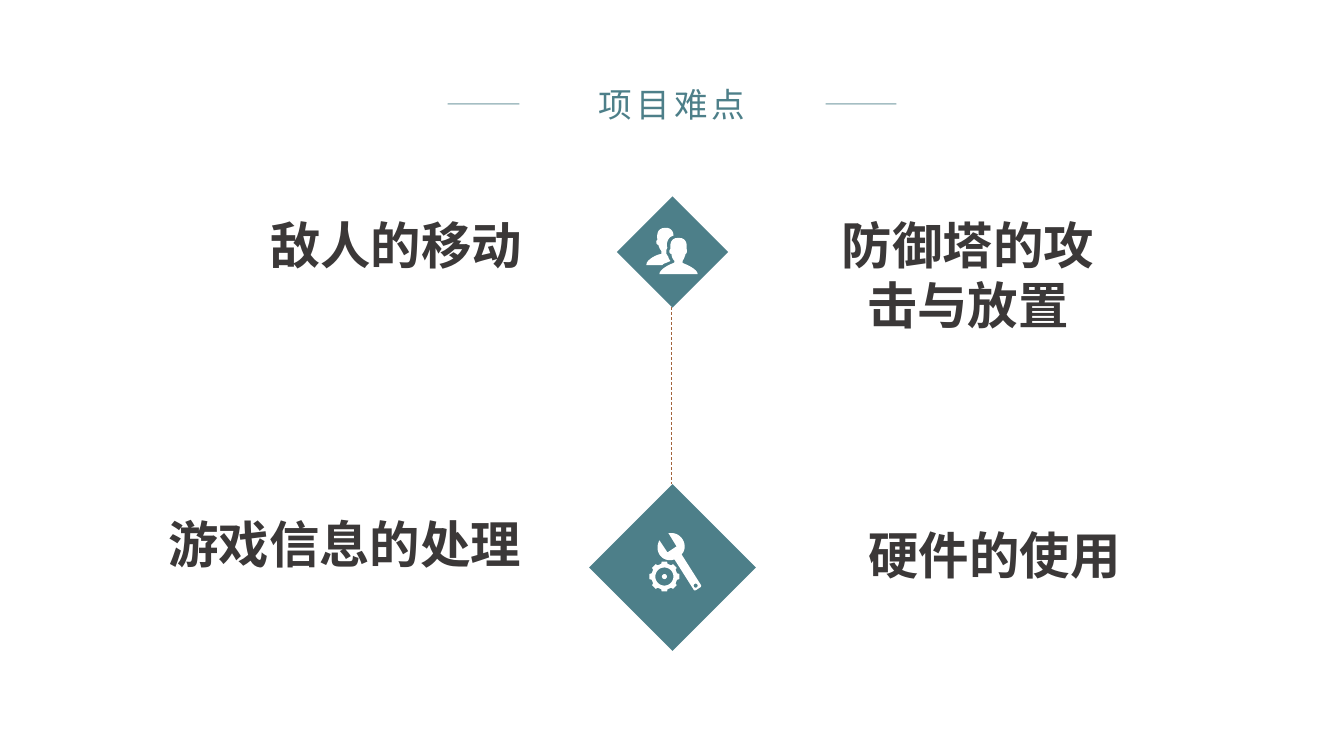
"""Build the project difficulties slide with four topics around a diamond timeline."""
from dataclasses import dataclass
from math import cos, radians, sin
from typing import Optional

from lxml import etree
from pptx import Presentation
from pptx.dml.color import RGBColor
from pptx.enum.dml import MSO_LINE
from pptx.enum.shapes import MSO_CONNECTOR, MSO_SHAPE
from pptx.enum.text import MSO_ANCHOR, PP_ALIGN
from pptx.oxml.ns import qn
from pptx.util import Inches, Pt

STRAIGHT = MSO_CONNECTOR.STRAIGHT
RECTANGLE, OVAL = MSO_SHAPE.RECTANGLE, MSO_SHAPE.OVAL
DASH = MSO_LINE.DASH
TOP, CENTER = MSO_ANCHOR.TOP, PP_ALIGN.CENTER


@dataclass(frozen=True)
class Theme:
    font: str = "Noto Sans CJK SC"
    teal: RGBColor = RGBColor(0x4D, 0x7F, 0x89)
    brown: RGBColor = RGBColor(0xA2, 0x63, 0x3C)
    ink: RGBColor = RGBColor(0x3B, 0x38, 0x38)
    white: RGBColor = RGBColor(0xFF, 0xFF, 0xFF)
    title_size: int = 24
    topic_size: int = 36


@dataclass(frozen=True)
class Topic:
    text: str
    left: float
    top: float
    width: float
    height: float


@dataclass(frozen=True)
class Rule:
    start: tuple
    end: tuple
    color: RGBColor
    weight: float
    dash: Optional[int] = None
    opacity: int = 100


@dataclass(frozen=True)
class Block:
    kind: int
    center: tuple
    size: float
    color: RGBColor
    rotation: int = 0


THEME = Theme()
GEAR_CENTER = (6.59, 5.72)
TOPICS = [
    Topic("敌人的移动", 2.38, 2.07, 3.1, 0.71),
    Topic("防御塔的攻击与放置", 8.05, 2.07, 3.1, 1.31),
    Topic("游戏信息的处理", 1.37, 5.04, 4.1, 0.71),
    Topic("硬件的使用", 8.05, 5.15, 3.63, 0.71),
]
RULES = [
    Rule((6.66, 3.05), (6.66, 4.8), THEME.brown, 0.5, DASH),
    Rule((4.44, 1.03), (5.15, 1.03), THEME.teal, 1, opacity=50),
    Rule((8.19, 1.03), (8.89, 1.03), THEME.teal, 1, opacity=50),
]
BLOCKS = [
    Block(RECTANGLE, (6.67, 5.63), 1.17, THEME.teal, 45),
    Block(RECTANGLE, (6.67, 2.5), 0.78, THEME.teal, 45),
    Block(OVAL, GEAR_CENTER, 0.05, THEME.white),
]

# fmt: off
WRENCH = [
    (6.95, 5.8), (6.76, 5.5), (6.8, 5.46, 6.8, 5.4, 6.77, 5.35),
    (6.74, 5.3, 6.68, 5.28, 6.63, 5.29), (6.71, 5.42), (6.62, 5.48), (6.54, 5.36),
    (6.52, 5.4, 6.51, 5.45, 6.54, 5.5), (6.57, 5.55, 6.63, 5.57, 6.69, 5.55),
    (6.88, 5.85), (6.88, 5.86, 6.9, 5.86, 6.91, 5.85), (6.94, 5.83),
    (6.95, 5.83, 6.96, 5.81, 6.95, 5.8),
]
FRONT_PERSON = [
    (6.77, 2.61), (6.77, 2.59), (6.77, 2.59, 6.79, 2.56, 6.8, 2.52),
    (6.81, 2.52, 6.82, 2.49, 6.81, 2.47), (6.81, 2.46, 6.83, 2.36, 6.73, 2.36),
    (6.63, 2.36, 6.65, 2.46, 6.65, 2.47), (6.63, 2.49, 6.64, 2.52, 6.66, 2.52),
    (6.66, 2.56, 6.69, 2.59, 6.69, 2.59), (6.69, 2.59, 6.69, 2.61, 6.68, 2.61),
    (6.65, 2.62, 6.54, 2.67, 6.54, 2.72), (6.92, 2.72),
    (6.92, 2.67, 6.8, 2.62, 6.77, 2.61),
]
BACK_PERSON = [
    (6.58, 2.62), (6.6, 2.61, 6.63, 2.6, 6.65, 2.59),
    (6.64, 2.58, 6.63, 2.56, 6.63, 2.55), (6.62, 2.54, 6.62, 2.53, 6.61, 2.52),
    (6.61, 2.51, 6.61, 2.5, 6.61, 2.49), (6.61, 2.48, 6.61, 2.47, 6.62, 2.46),
    (6.61, 2.44, 6.61, 2.4, 6.64, 2.36), (6.65, 2.35, 6.67, 2.34, 6.68, 2.34),
    (6.68, 2.3, 6.66, 2.26, 6.6, 2.26), (6.5, 2.26, 6.52, 2.36, 6.52, 2.38),
    (6.5, 2.39, 6.51, 2.43, 6.53, 2.43), (6.54, 2.47, 6.56, 2.49, 6.56, 2.49),
    (6.56, 2.52), (6.53, 2.52, 6.41, 2.57, 6.41, 2.63), (6.57, 2.63),
]
# fmt: on


def polar(center: tuple, radius: float, degrees: float) -> tuple:
    angle = radians(degrees)
    return center[0] + radius * cos(angle), center[1] + radius * sin(angle)


def ring(center: tuple, radius: float) -> list:
    return [polar(center, radius, degrees) for degrees in range(0, 360, 10)]


def gear_outline() -> list:
    profile = [(-14, 0.13), (-10, 0.15), (10, 0.15), (14, 0.13)]
    return [polar(GEAR_CENTER, radius, tooth + offset)
            for tooth in range(0, 360, 45) for offset, radius in profile]


def flatten(steps: list) -> list:
    points = []
    for step in steps:
        if len(step) == 2:
            points.append(step)
            continue
        curve = [points[-1], step[:2], step[2:4], step[4:]]
        for t in (i / 8 for i in range(1, 9)):
            weights = ((1 - t) ** 3, 3 * t * (1 - t) ** 2, 3 * t * t * (1 - t), t ** 3)
            points.append(tuple(sum(w * p[axis] for w, p in zip(weights, curve))
                                for axis in (0, 1)))
    return points


def paint(shape, color: RGBColor) -> None:
    shape.shadow.inherit = False
    shape.fill.solid()
    shape.fill.fore_color.rgb = color
    shape.line.fill.background()


def draw_icon(page, contours: list) -> None:
    builder = None
    for contour in contours:
        points = [(Inches(x), Inches(y)) for x, y in flatten(contour)]
        if builder is None:
            builder = page.shapes.build_freeform(*points[0], scale=1.0)
        else:
            builder.move_to(*points[0])
        builder.add_line_segments(points[1:], close=True)
    paint(builder.convert_to_shape(), THEME.white)


def draw_block(page, block: Block) -> None:
    left, top = (Inches(value - block.size / 2) for value in block.center)
    shape = page.shapes.add_shape(block.kind, left, top, Inches(block.size), Inches(block.size))
    shape.rotation = block.rotation
    paint(shape, block.color)


def draw_rule(page, rule: Rule) -> None:
    ends = [Inches(value) for value in rule.start + rule.end]
    line = page.shapes.add_connector(STRAIGHT, *ends)
    line.line.color.rgb = rule.color
    line.line.width = Pt(rule.weight)
    if rule.dash is not None:
        line.line.dash_style = rule.dash
    properties = line._element.spPr
    if rule.opacity < 100:
        color = properties.find(".//" + qn("a:srgbClr"))
        etree.SubElement(color, qn("a:alpha")).set("val", str(rule.opacity * 1000))
    etree.SubElement(properties, qn("a:effectLst"))


def write(box, topic: Topic, size: int, color: RGBColor, bold: bool, spacing: int = 0) -> None:
    box.left, box.top = Inches(topic.left), Inches(topic.top)
    box.width, box.height = Inches(topic.width), Inches(topic.height)
    frame = box.text_frame
    frame.word_wrap = True
    frame.vertical_anchor = TOP
    para = frame.paragraphs[0]
    para.text = topic.text
    para.alignment = CENTER
    font = para.font
    font.name, font.size, font.bold = THEME.font, Pt(size), bold
    font.color.rgb = color
    defaults = para._p.pPr.find(qn("a:defRPr"))
    defaults.set("spc", str(spacing * 100))
    etree.SubElement(defaults, qn("a:ea")).set("typeface", THEME.font)


def main() -> None:
    deck = Presentation()
    deck.slide_width, deck.slide_height = Inches(13.33), Inches(7.5)
    page = deck.slides.add_slide(deck.slide_layouts[5])
    heading = Topic("项目难点", 5.19, 0.78, 2.95, 0.5)
    write(page.shapes.title, heading, THEME.title_size, THEME.teal, False, spacing=3)
    for block in BLOCKS:
        draw_block(page, block)
    for rule in RULES:
        draw_rule(page, rule)
    for topic in TOPICS:
        box = page.shapes.add_textbox(0, 0, 0, 0)
        write(box, topic, THEME.topic_size, THEME.ink, True)
    draw_icon(page, [WRENCH, ring((6.9, 5.81), 0.02)])
    draw_icon(page, [gear_outline(), ring(GEAR_CENTER, 0.09)])
    draw_icon(page, [FRONT_PERSON, BACK_PERSON])
    deck.save("out.pptx")


if __name__ == "__main__":
    main()
